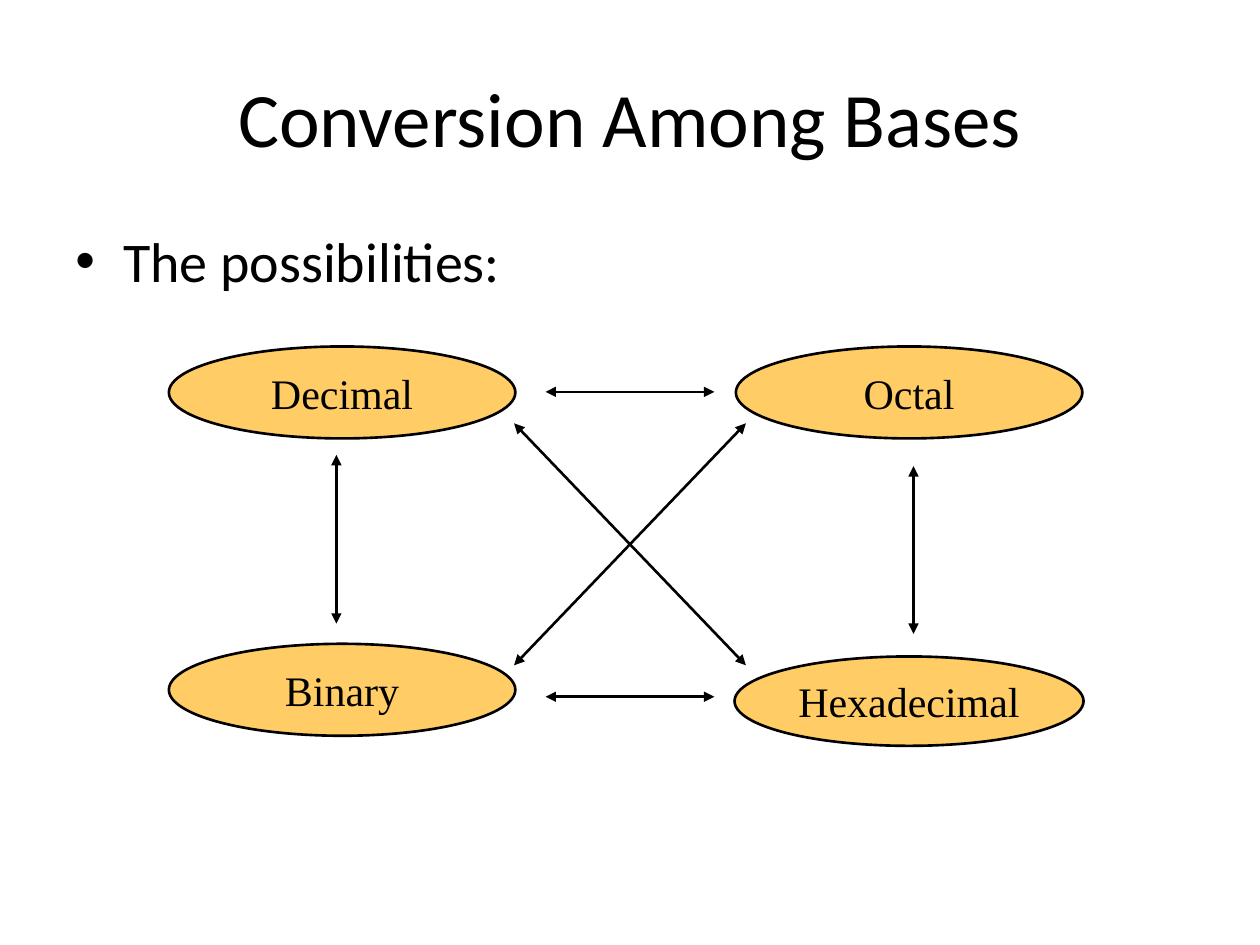
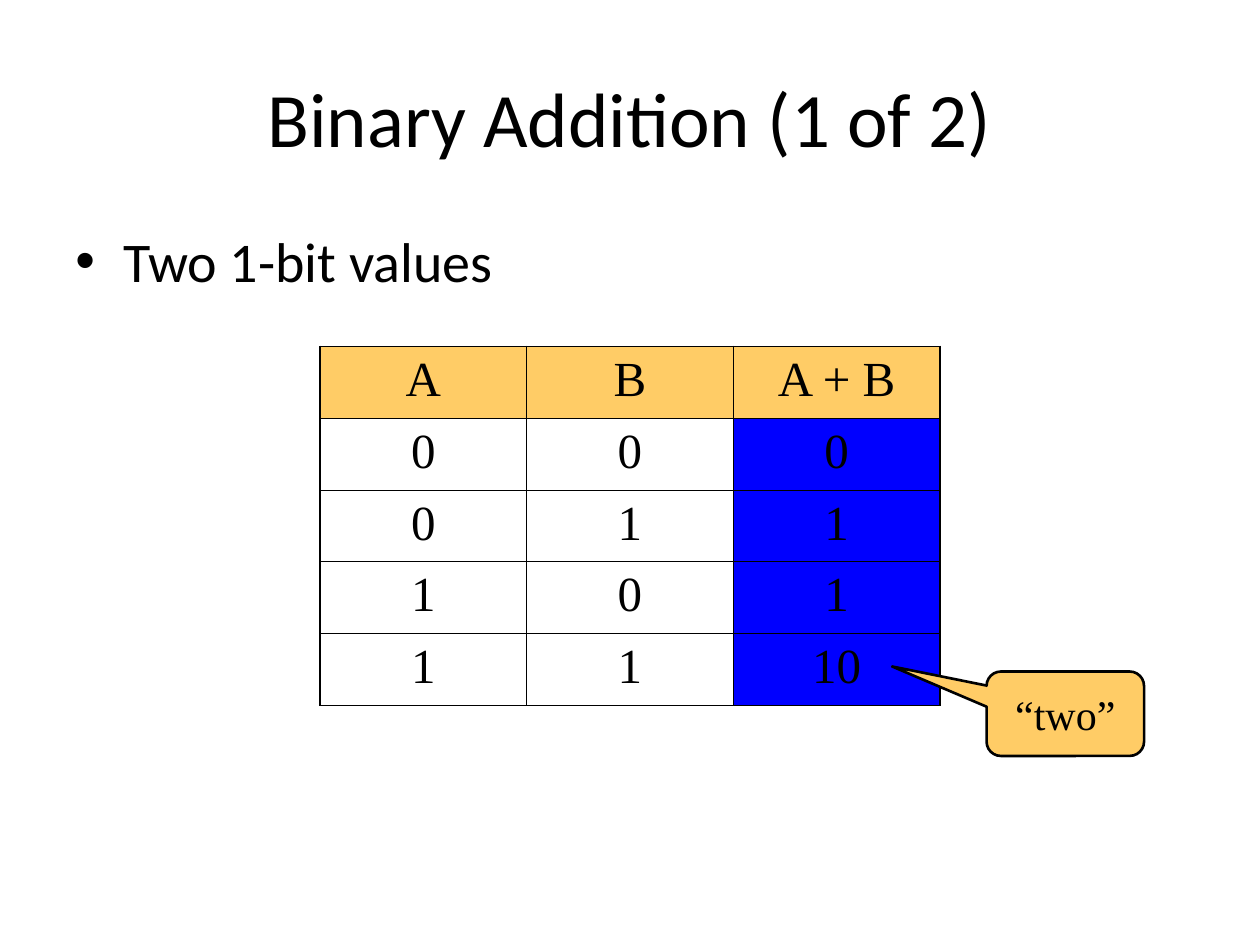
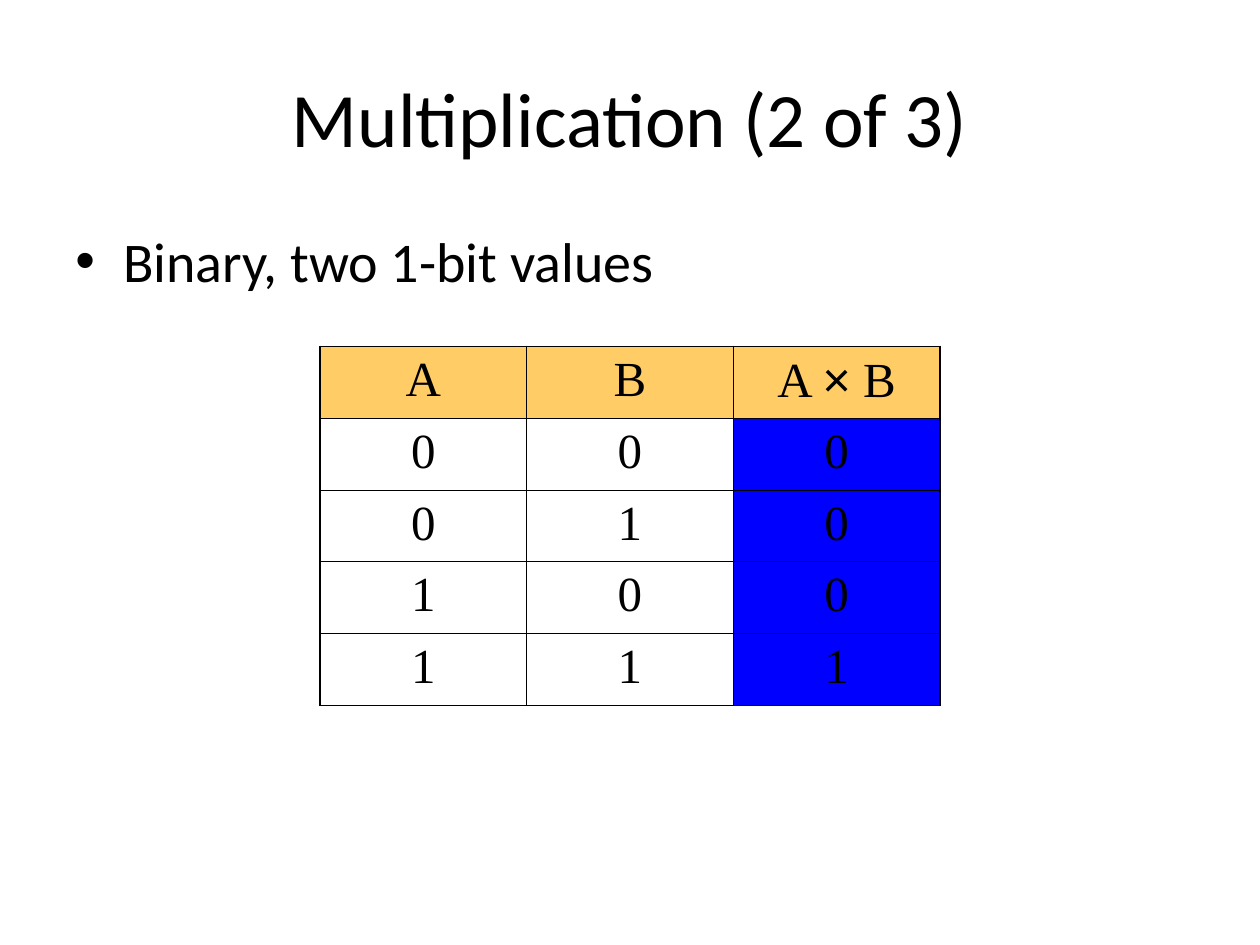
"""Build three slides on number bases and binary arithmetic."""
from lxml import etree
from pptx import Presentation
from pptx.dml.color import RGBColor
from pptx.enum.shapes import MSO_CONNECTOR, MSO_SHAPE
from pptx.enum.text import MSO_ANCHOR, PP_ALIGN
from pptx.oxml.ns import qn
from pptx.util import Inches, Pt

CENTER, LEFT = PP_ALIGN.CENTER, PP_ALIGN.LEFT
MIDDLE, TOP = MSO_ANCHOR.MIDDLE, MSO_ANCHOR.TOP
ELLIPSE, CALLOUT = MSO_SHAPE.OVAL, MSO_SHAPE.ROUNDED_RECTANGULAR_CALLOUT
STRAIGHT = MSO_CONNECTOR.STRAIGHT

COLORS = {"ink": "000000", "accent": "FFCC66", "result": "0000FF"}
HEADING_FONT, DIAGRAM_FONT, SYMBOL_FONT = "Calibri", "Times New Roman", "Arial"
SLIDE_WIDTH, SLIDE_HEIGHT, MARGIN = 10, 7.5, 0.5
LINE_WIDTH, OUTER_BORDER, INNER_BORDER = 1.5, 1.08, 0.45
TABLE_TOP, COLUMN_WIDTH, ROW_HEIGHT = 2.75, 1.64, 0.57

BASES = [
    ("Hexadecimal", (5.83, 5.21, 2.77, 0.71)),
    ("Decimal", (1.34, 2.75, 2.75, 0.73)),
    ("Octal", (5.84, 2.75, 2.75, 0.73)),
    ("Binary", (1.34, 5.11, 2.75, 0.73)),
]
CONVERSIONS = [
    ((4.08, 5.28), (5.92, 3.36)),
    ((5.92, 5.28), (4.08, 3.36)),
    ((7.25, 5.03), (7.25, 3.7)),
    ((2.67, 4.95), (2.67, 3.61)),
    ((4.33, 3.11), (5.67, 3.11)),
    ((4.33, 5.53), (5.67, 5.53)),
]
INPUTS = [("0", "0"), ("0", "1"), ("1", "0"), ("1", "1")]
SUMS = ["0", "1", "1", "10"]
PRODUCTS = ["0", "0", "0", "1"]


def color(name):
    return RGBColor.from_string(COLORS[name])


def write(frame, text, size, font, align=CENTER):
    para = frame.paragraphs[0]
    para.alignment = align
    para.font.size = Pt(size)
    para.font.name = font
    para.font.color.rgb = color("ink")
    for part in filter(None, text.partition("×")):
        span = para.add_run()
        span.text = part
        if part == "×":
            span.font.name = SYMBOL_FONT


def add_bullet(para):
    props = para._p.get_or_add_pPr()
    props.set("marL", str(Inches(0.38)))
    props.set("indent", str(-Inches(0.38)))
    bullet_color = etree.SubElement(props, qn("a:buClr"))
    etree.SubElement(bullet_color, qn("a:srgbClr"), val=COLORS["ink"])
    etree.SubElement(props, qn("a:buFont"), typeface=SYMBOL_FONT)
    etree.SubElement(props, qn("a:buChar"), char="•")


def add_text_box(page, top, height, anchor):
    width = SLIDE_WIDTH - 2 * MARGIN
    box = page.shapes.add_textbox(*map(Inches, (MARGIN, top, width, height)))
    box.text_frame.word_wrap = True
    box.text_frame.vertical_anchor = anchor
    return box.text_frame


def add_page(deck, title, bullet):
    page = deck.slides.add_slide(deck.slide_layouts[6])
    write(add_text_box(page, 0.3, 1.25, MIDDLE), title, 44, HEADING_FONT)
    body = add_text_box(page, 1.75, 4.95, TOP)
    add_bullet(body.paragraphs[0])
    write(body, bullet, 32, HEADING_FONT, LEFT)
    return page


def add_label(page, kind, place, text, wrap):
    shape = page.shapes.add_shape(kind, *map(Inches, place))
    shape.shadow.inherit = False
    shape.fill.solid()
    shape.fill.fore_color.rgb = color("accent")
    shape.line.color.rgb = color("ink")
    shape.line.width = Pt(LINE_WIDTH)
    shape.text_frame.word_wrap = wrap
    shape.text_frame.vertical_anchor = MIDDLE
    write(shape.text_frame, text, 24, DIAGRAM_FONT)
    return shape


def add_double_arrow(page, start, end):
    arrow = page.shapes.add_connector(STRAIGHT, *map(Inches, start + end))
    arrow.line.color.rgb = color("ink")
    arrow.line.width = Pt(LINE_WIDTH)
    line = arrow.line._get_or_add_ln()
    for tip in ("a:headEnd", "a:tailEnd"):
        etree.SubElement(line, qn(tip), type="triangle")
    etree.SubElement(arrow._element.spPr, qn("a:effectLst"))


def add_borders(cell, outer_sides):
    props = cell._tc.get_or_add_tcPr()
    for side in "LRTB":
        width = OUTER_BORDER if side in outer_sides else INNER_BORDER
        line = etree.SubElement(props, qn(f"a:ln{side}"), w=str(Pt(width)))
        fill = etree.SubElement(line, qn("a:solidFill"))
        etree.SubElement(fill, qn("a:srgbClr"), val=COLORS["ink"])


def add_truth_table(page, operation, results):
    rows = [("A", "B", operation)]
    rows += [(*pair, result) for pair, result in zip(INPUTS, results)]
    last_row, last_column = len(rows) - 1, len(rows[0]) - 1
    width, height = COLUMN_WIDTH * len(rows[0]), ROW_HEIGHT * len(rows)
    place = ((SLIDE_WIDTH - width) / 2, TABLE_TOP, width, height)
    table = page.shapes.add_table(len(rows), len(rows[0]), *map(Inches, place)).table
    table.first_row = table.horz_banding = False
    for row, values in enumerate(rows):
        for column, value in enumerate(values):
            cell = table.cell(row, column)
            edges = {"L": column == 0, "R": column == last_column,
                     "T": row == 0, "B": row == last_row}
            add_borders(cell, [side for side, outer in edges.items() if outer])
            if row == 0 or column == last_column:
                cell.fill.solid()
                cell.fill.fore_color.rgb = color("result" if row else "accent")
            else:
                cell.fill.background()
            write(cell.text_frame, value, 28, DIAGRAM_FONT)


def main():
    deck = Presentation()
    deck.slide_width, deck.slide_height = Inches(SLIDE_WIDTH), Inches(SLIDE_HEIGHT)

    page = add_page(deck, "Conversion Among Bases", "The possibilities:")
    for base, place in BASES:
        add_label(page, ELLIPSE, place, base, False)
    for start, end in CONVERSIONS:
        add_double_arrow(page, start, end)

    page = add_page(deck, "Binary Addition (1 of 2)", "Two 1-bit values")
    add_truth_table(page, "A + B", SUMS)
    callout = add_label(page, CALLOUT, (7.83, 5.33, 1.25, 0.67), "“two”", True)
    for index, value in enumerate((-1.1, -0.56, 0.17)):
        callout.adjustments[index] = value

    page = add_page(deck, "Multiplication (2 of 3)", "Binary, two 1-bit values")
    add_truth_table(page, "A × B", PRODUCTS)

    deck.save("out.pptx")


if __name__ == "__main__":
    main()
